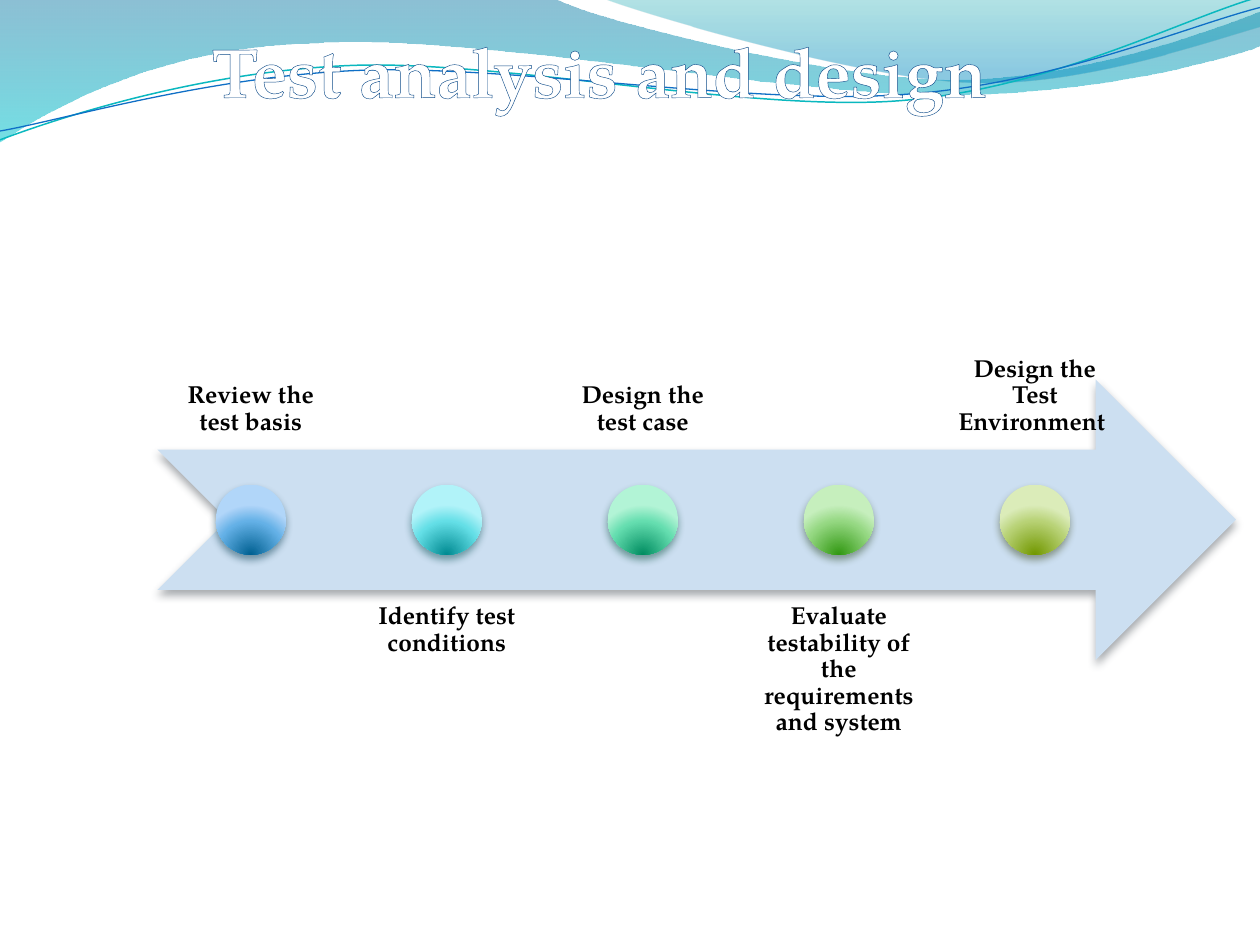
from math import cos, radians, sin

from lxml import etree
from pptx import Presentation
from pptx.dml.color import RGBColor
from pptx.enum.shapes import MSO_SHAPE
from pptx.enum.text import MSO_ANCHOR, MSO_AUTO_SIZE, PP_ALIGN
from pptx.oxml.ns import qn
from pptx.util import Inches, Pt

ARROW, OVAL = MSO_SHAPE.NOTCHED_RIGHT_ARROW, MSO_SHAPE.OVAL
TOP, BOTTOM = MSO_ANCHOR.TOP, MSO_ANCHOR.BOTTOM
LEFT, CENTER = PP_ALIGN.LEFT, PP_ALIGN.CENTER
FONT = "TeX Gyre Pagella"
TILT = -2.7
COLORS = {
    "title": "FFFFFF", "edge_light": "6A98F8", "edge_mid": "0F4C8A",
    "edge_dark": "0A3F78", "label": "000000",
    "arrow": "CCDFF1", "arrow_shadow": "474E55",
    "teal_line": "0AB8BF", "blue_line": "0F6FC6",
    "wave_blue": "0074A1", "wave_cyan": "00C6CF",
    "crest_teal": "00A1A9", "crest_blue": "008BBF",
}
STEPS = [
    ("Review the test basis", ("006091", "64B1E7", "B1D6F9"), "00374C"),
    ("Identify test conditions", ("008A91", "64DFE7", "B1F3F9"), "024B4E"),
    ("Design the test case", ("008C60", "65DEB0", "B2F4D6"), "044A37"),
    ("Evaluate testability of the requirements and system",
     ("319811", "95D882", "C6EFBD"), "2B4821"),
    ("Design the Test Environment ", ("729800", "B8D275", "DBECB9"), "3A4519"),
]
WAVE = [
    [(0, 0)], [(4.4, -0.01)],
    [(4.76, 0.17), (6.64, 0.63), (7.58, 0.63)],
    [(8.53, 0.63), (9.58, 0.26), (10, 0.09)], [(10.01, 0.36)],
    [(9.83, 0.44), (8.7, 0.76), (7.46, 0.75)],
    [(6.22, 0.75), (3.82, 0.28), (2.57, 0.34)],
    [(1.29, 0.36), (0.46, 0.83), (-0.01, 1.13)], [(0, 0)],
]
CREST = [
    [(4.79, -0.01)],
    [(5.09, 0.11), (6.82, 0.62), (7.69, 0.65)],
    [(8.56, 0.69), (9.61, 0.32), (10, 0.21)], [(10, 0)], [(4.79, -0.01)],
]
TEAL_CURVE = [
    [(0, 1.11)],
    [(0.48, 0.93), (1.58, 0.57), (2.77, 0.52)],
    [(3.95, 0.47), (5.93, 0.89), (7.13, 0.8)],
    [(8.33, 0.71), (9.38, 0.15), (9.98, -0.02)],
]
BLUE_CURVE = [
    [(0, 1.04)],
    [(0.47, 0.96), (1.64, 0.61), (2.83, 0.56)],
    [(4.03, 0.51), (5.97, 0.84), (7.17, 0.75)],
    [(8.36, 0.67), (9.41, 0.21), (10, 0.06)],
]


def rgb(value):
    return RGBColor.from_string(value)


def add_node(parent, tag, **attributes):
    values = {name: str(value) for name, value in attributes.items()}
    return etree.SubElement(parent, qn(tag), values)


def add_color(parent, color, opacity=100):
    node = add_node(parent, "a:srgbClr", val=color)
    if opacity < 100:
        add_node(node, "a:alpha", val=opacity * 1000)


def make_gradient(stops, radial=False):
    gradient = etree.Element(qn("a:gradFill"), rotWithShape="1")
    stop_list = add_node(gradient, "a:gsLst")
    for position, color, opacity in stops:
        add_color(add_node(stop_list, "a:gs", pos=position * 1000), color, opacity)
    if radial:
        circle = add_node(gradient, "a:path", path="circle")
        add_node(circle, "a:fillToRect", l=50000, t=130000, r=50000, b=-30000)
    else:
        add_node(gradient, "a:lin", ang=5400000, scaled=1)
    return gradient


def fill_gradient(shape, stops, radial=False):
    shape.fill.solid()
    solid = shape._element.spPr.find(qn("a:solidFill"))
    solid.getparent().replace(solid, make_gradient(stops, radial))


def drop_shadow(shape, color):
    effects = shape._element.spPr.find(qn("a:effectLst"))
    shadow = add_node(effects, "a:outerShdw", blurRad=Pt(4.5), dist=Pt(3),
                      dir=5400000, rotWithShape=0)
    add_color(shadow, color, 48)


def add_plain(page, kind, left, top, width, height):
    shape = page.shapes.add_shape(kind, left, top, width, height)
    shape.shadow.inherit = False
    shape.line.fill.background()
    return shape


def turn(segments, center, angle):
    c, s = cos(radians(angle)), sin(radians(angle))
    cx, cy = center
    return [[(cx + (x - cx) * c - (y - cy) * s, cy + (x - cx) * s + (y - cy) * c)
             for x, y in segment] for segment in segments]


def add_outline(page, segments, closed):
    points = [(Inches(x), Inches(y)) for segment in segments for x, y in segment]
    builder = page.shapes.build_freeform(*points[0])
    builder.add_line_segments(points[1:], close=closed)
    shape = builder.convert_to_shape()
    shape.shadow.inherit = False
    lines = iter(list(shape._element.spPr.iter(qn("a:lnTo"))))
    for segment in segments[1:]:
        parts = [next(lines) for _ in segment]
        if len(parts) == 3:
            curve = etree.Element(qn("a:cubicBezTo"))
            parts[0].addprevious(curve)
            for part in parts:
                curve.append(part[0])
                part.getparent().remove(part)
    return shape


def write_text(frame, text, size, color, align=CENTER, anchor=TOP, spacing=1.0):
    frame.word_wrap = True
    frame.vertical_anchor = anchor
    para = frame.paragraphs[0]
    para.alignment = align
    para.line_spacing = spacing
    span = para.add_run()
    span.text = text
    span.font.name = FONT
    span.font.size = Pt(size)
    span.font.bold = True
    span.font.color.rgb = rgb(color)
    return span


def add_waves(page):
    bands = [
        (WAVE, [(0, COLORS["wave_blue"], 45), (100, COLORS["wave_cyan"], 55)]),
        (CREST, [(0, COLORS["crest_teal"], 30), (80, COLORS["crest_blue"], 45)]),
    ]
    for segments, stops in bands:
        band = add_outline(page, segments, closed=True)
        fill_gradient(band, stops)
        band.line.fill.background()
    curves = [(TEAL_CURVE, (4.99, 0.58), "teal_line", 0.85),
              (BLUE_CURVE, (5, 0.59), "blue_line", 0.75)]
    for segments, center, color, width in curves:
        curve = add_outline(page, turn(segments, center, -TILT), closed=False)
        curve.rotation = TILT
        curve.fill.background()
        curve.line.color.rgb = rgb(COLORS[color])
        curve.line.width = Pt(width)


def add_title(page, text, left, top, width, height):
    title = page.shapes.title
    title.left, title.top, title.width, title.height = left, top, width, height
    page.shapes._spTree.append(title._element)
    title.text_frame.auto_size = MSO_AUTO_SIZE.NONE
    span = write_text(title.text_frame, text, 40, COLORS["title"], align=LEFT)
    edge = etree.Element(qn("a:ln"), w=str(Pt(2.48)))
    edge.append(make_gradient([(0, COLORS["edge_light"], 100),
                               (75, COLORS["edge_mid"], 100),
                               (100, COLORS["edge_dark"], 100)]))
    span.font._element.insert(0, edge)


def add_label(page, text, left, top, width, height, anchor):
    frame = page.shapes.add_textbox(left, top, width, height).text_frame
    frame.margin_left = frame.margin_right = Inches(0.11)
    frame.margin_top = frame.margin_bottom = Inches(0.11)
    write_text(frame, text, 14, COLORS["label"], anchor=anchor, spacing=0.9)


def add_process(page, left, top, width, height):
    band = int(height * 0.4)
    arrow_top = top + int(height * 0.3)
    arrow = add_plain(page, ARROW, left, arrow_top, width, band)
    arrow.fill.solid()
    arrow.fill.fore_color.rgb = rgb(COLORS["arrow"])
    drop_shadow(arrow, COLORS["arrow_shadow"])

    gap = 0.05
    count = len(STEPS)
    column = int(width * 0.9 / (count + (count - 1) * gap))
    dot = band // 4
    for index, (text, shades, shadow) in enumerate(STEPS):
        x = left + int(index * column * (1 + gap))
        above = index % 2 == 0
        add_label(page, text, x, top if above else top + height - band,
                  column, band, BOTTOM if above else TOP)
        ball = add_plain(page, OVAL, x + (column - dot) // 2,
                         arrow_top + (band - dot) // 2, dot, dot)
        stops = [(place, shade, 100) for place, shade in zip((0, 68, 100), shades)]
        fill_gradient(ball, stops, radial=True)
        drop_shadow(ball, shadow)


def main():
    deck = Presentation()
    deck.slide_width, deck.slide_height = Inches(10), Inches(7.5)
    page = deck.slides.add_slide(deck.slide_layouts[5])
    add_waves(page)
    add_title(page, "Test analysis and design",
              Inches(1.58), Inches(0.17), Inches(6.88), Inches(0.77))
    add_process(page, Inches(1.25), Inches(1.34), Inches(8.56), Inches(5.57))
    deck.save("out.pptx")


if __name__ == "__main__":
    main()
